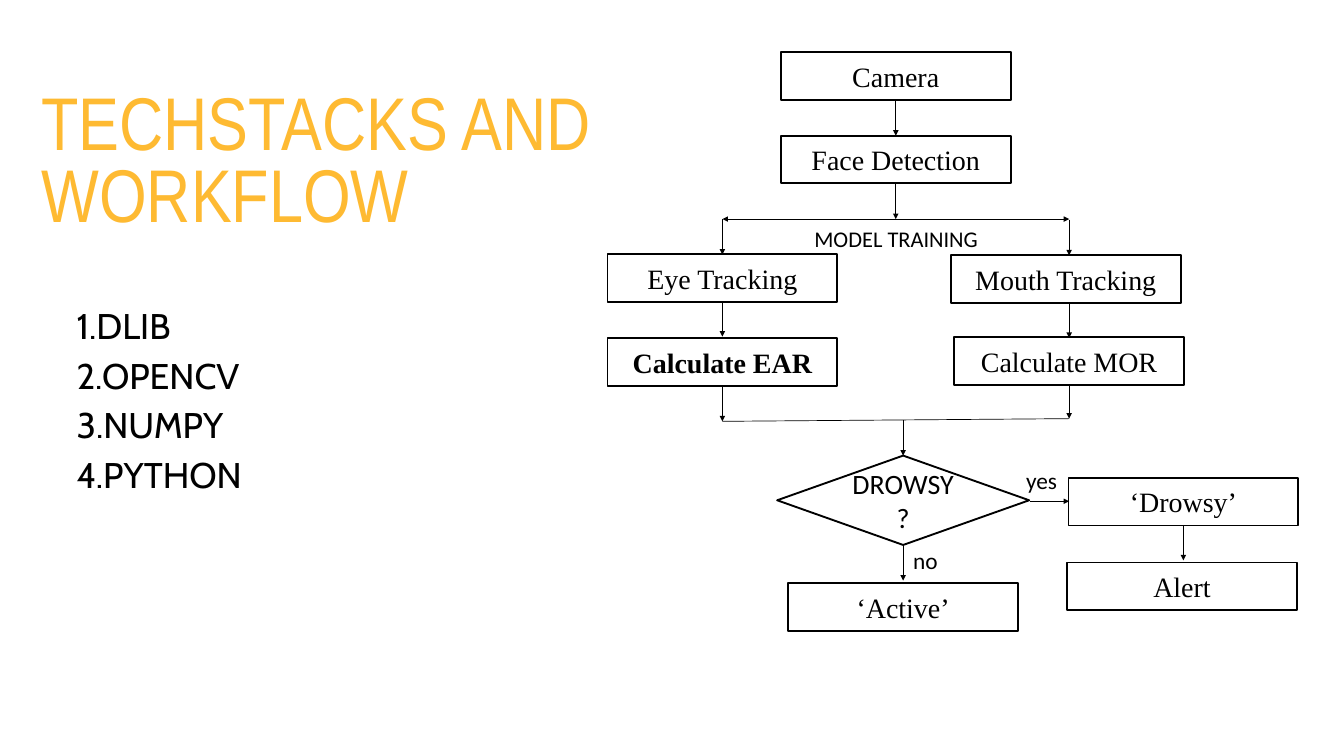
from pptx import Presentation
from pptx.dml.color import RGBColor
from pptx.enum.shapes import MSO_CONNECTOR, MSO_SHAPE
from pptx.enum.text import MSO_ANCHOR, PP_ALIGN
from pptx.oxml import parse_xml
from pptx.oxml.ns import nsdecls
from pptx.util import Inches, Pt

BLACK = RGBColor(0x00, 0x00, 0x00)
WHITE = RGBColor(0xFF, 0xFF, 0xFF)
AMBER = RGBColor(0xFE, 0xBA, 0x32)

COLUMNS, ROWS = 20, 11.25
BOX_WIDTH, BOX_HEIGHT = 3.42, 0.71
ARROW_LENGTH = 0.53
CAMERA, EYE, MOUTH, DECISION, ALARM = 13.33, 10.75, 15.91, 13.44, 17.61


class FlowSlide:
    """Draws styled elements on one slide, placed by grid columns and rows."""

    def __init__(self, presentation):
        self.slide = presentation.slides.add_slide(presentation.slide_layouts[6])
        self.column = presentation.slide_width / COLUMNS
        self.row = presentation.slide_height / ROWS

    def place(self, *lengths):
        units = (self.column, self.row) * 2
        return [round(length * unit) for length, unit in zip(lengths, units)]

    def add_text_run(self, paragraph, text, size, font, color=BLACK, bold=False):
        run = paragraph.add_run()
        run.text = text
        run.font.size = Pt(size)
        run.font.name = font
        run.font.bold = bold
        run.font.color.rgb = color

    def text(self, lines, left, top, width, height, size, font,
             color=BLACK, spacing=None, inset=True):
        shape = self.slide.shapes.add_textbox(*self.place(left, top, width, height))
        frame = shape.text_frame
        frame.word_wrap = True
        if not inset:
            frame.margin_left = frame.margin_right = 0
            frame.margin_top = frame.margin_bottom = 0
        for index, line in enumerate(lines):
            paragraph = frame.add_paragraph() if index else frame.paragraphs[0]
            if spacing:
                paragraph.line_spacing = Pt(spacing)
            self.add_text_run(paragraph, line, size, font, color)

    def box(self, text, center, top, width=BOX_WIDTH, height=BOX_HEIGHT,
            kind=MSO_SHAPE.RECTANGLE, font="Times New Roman", bold=False):
        bounds = self.place(center - width / 2, top, width, height)
        shape = self.slide.shapes.add_shape(kind, *bounds)
        shape.shadow.inherit = False
        shape.fill.solid()
        shape.fill.fore_color.rgb = WHITE
        shape.line.color.rgb = BLACK
        shape.line.width = Pt(2)
        frame = shape.text_frame
        frame.word_wrap = True
        frame.vertical_anchor = MSO_ANCHOR.MIDDLE
        frame.paragraphs[0].alignment = PP_ALIGN.CENTER
        self.add_text_run(frame.paragraphs[0], text, 30, font, bold=bold)

    def line(self, x1, y1, x2, y2, arrow=True):
        connector = self.slide.shapes.add_connector(
            MSO_CONNECTOR.STRAIGHT, *self.place(x1, y1, x2, y2))
        connector.line.color.rgb = BLACK
        connector.line.width = Pt(0.75)
        properties = connector._element.spPr
        if arrow:
            properties.ln.append(
                parse_xml(f'<a:tailEnd {nsdecls("a")} type="triangle"/>'))
        properties.append(parse_xml(f'<a:effectLst {nsdecls("a")}/>'))

    def down(self, column, top, length=ARROW_LENGTH):
        self.line(column, top, column, top + length)


def main():
    presentation = Presentation()
    presentation.slide_width = Inches(20)
    presentation.slide_height = Inches(11.25)
    flow = FlowSlide(presentation)

    flow.text(["1.DLIB", "2.OPENCV", "3.NUMPY", "4.PYTHON"], 1.14, 4.41, 11.26, 3.72,
              38.2, "Cabin", spacing=53.5, inset=False)
    flow.text(["TECHSTACKS AND WORKFLOW"], 0.62, 1.38, 10.54, 2.19,
              80, "Arial Narrow", AMBER, spacing=77.6, inset=False)

    for text, center, top in [
        ("Camera", CAMERA, 0.78),
        ("Face Detection", CAMERA, 2.02),
        ("Eye Tracking", EYE, 3.78),
        ("Mouth Tracking", 15.86, 3.8),
        ("Calculate MOR", MOUTH, 5.02),
        ("‘Active’", DECISION, 8.68),
        ("‘Drowsy’", ALARM, 7.11),
        ("Alert", ALARM - 0.02, 8.37),
    ]:
        flow.box(text, center, top)
    flow.box("Calculate EAR", EYE, 5.03, bold=True)
    flow.box("DROWSY?", DECISION, 6.78, 3.75, 1.33,
             MSO_SHAPE.FLOWCHART_DECISION, "Calibri")

    for column, top in [
        (CAMERA, 1.49), (CAMERA, 2.73), (EYE, 3.26), (MOUTH, 3.27),
        (EYE, 4.48), (MOUTH, 4.5), (EYE, 5.74),
        (DECISION, 6.25), (DECISION, 8.11), (ALARM, 7.81),
    ]:
        flow.down(column, top)
    flow.down(MOUTH, 5.74, 0.49)
    for branch in (EYE, MOUTH):
        flow.line(CAMERA, 3.26, branch, 3.26)
    flow.line(EYE, 6.27, MOUTH, 6.23, arrow=False)
    flow.line(15.33, 7.46, MOUTH, 7.46)

    flow.text(["MODEL TRAINING"], 12.02, 3.3, 3, 0.5, 24, "Calibri")
    for answer, left, top in [("yes", 15.17, 6.89), ("no", 13.49, 8.08)]:
        flow.text([answer], left, top, 1.29, 0.52, 25, "Calibri")

    presentation.save("out.pptx")


if __name__ == "__main__":
    main()
